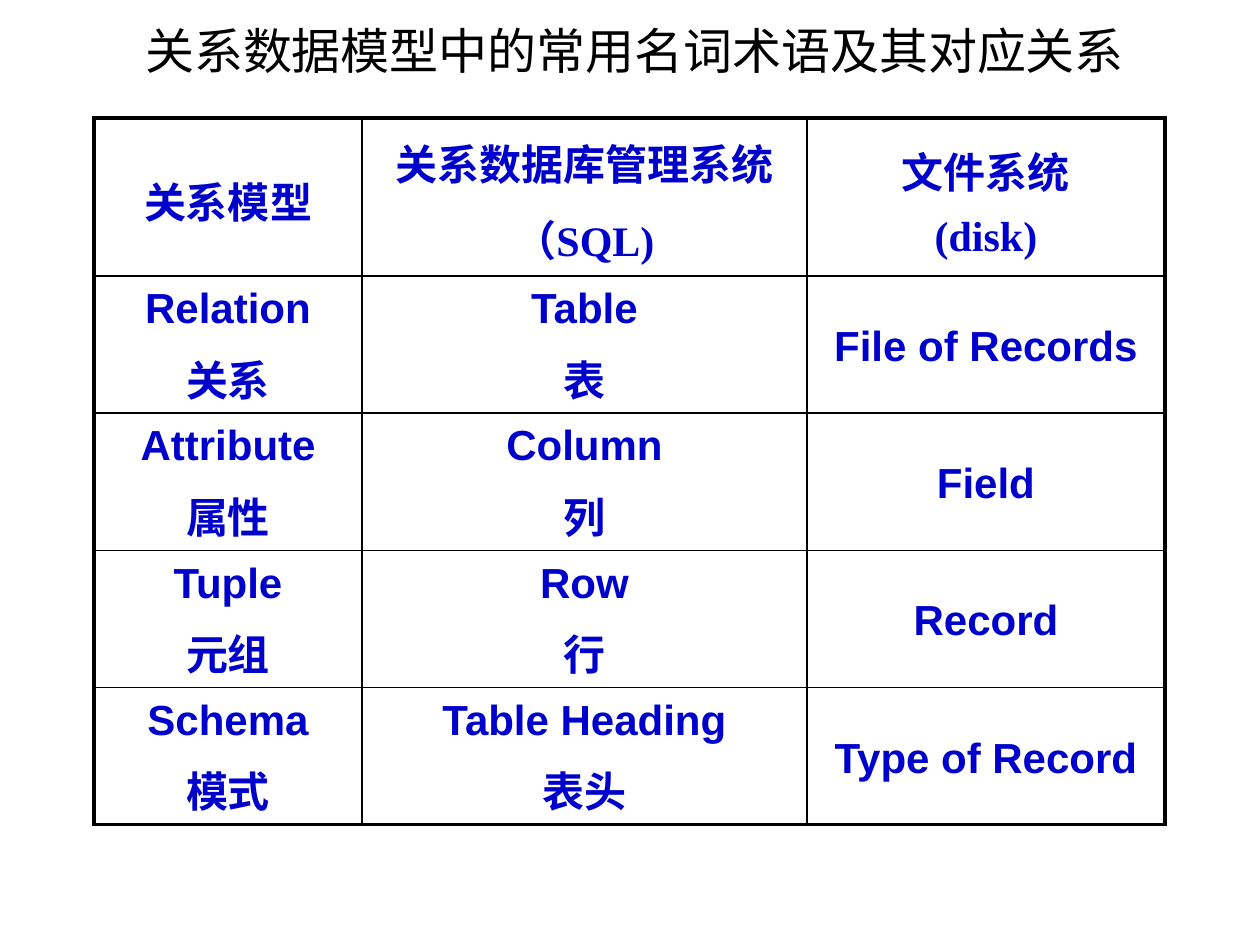
import pptx
import pptx.dml.color
import pptx.enum.text
import pptx.oxml
import pptx.oxml.ns
import pptx.util

SCALE = 914400 / 126  # EMU in one px
MID = pptx.enum.text.MSO_ANCHOR.MIDDLE
CENTER = pptx.enum.text.PP_ALIGN.CENTER


def px(n):
    return pptx.util.Emu(round(n * SCALE))


def color(text):
    return pptx.dml.color.RGBColor.from_string(text)


def apply(item, style):
    for name, value in style.items():
        setattr(item, name, value)


class Deck:
    ink, blue, white = "000000", "0000CC", "FFFFFF"
    thin, thick = 1, 2.25
    head = {"size": pptx.util.Pt(28), "name": "Times New Roman", "bold": False}
    text = {"size": pptx.util.Pt(24), "bold": True}
    para = {"alignment": CENTER, "line_spacing": 1.1}
    pad = {"margin_left": 0, "margin_right": 0, "margin_top": px(5),
           "margin_bottom": px(5), "vertical_anchor": MID}

    def __init__(self, wide, high):
        self.show = pptx.Presentation()
        apply(self.show, {"slide_width": px(wide), "slide_height": px(high)})
        self.slide = self.show.slides.add_slide(self.show.slide_layouts[5])

    def title(self, text, left, top, wide, high):
        box = self.slide.shapes.title
        apply(box, {"left": px(left), "top": px(top),
                    "width": px(wide), "height": px(high)})
        apply(box.text_frame, {"text": text, "word_wrap": True,
                               "vertical_anchor": MID,
                               "auto_size": pptx.enum.text.MSO_AUTO_SIZE.NONE})
        line = box.text_frame.paragraphs[0]
        line.alignment = CENTER
        apply(line.font, self.head)
        line.font.color.rgb = color(self.ink)

    def border(self, cell, side, points):
        space = pptx.oxml.ns.nsdecls("a")
        cell._tc.get_or_add_tcPr().append(pptx.oxml.parse_xml(
            f'<a:ln{side} {space} w="{pptx.util.Pt(points)}"><a:solidFill>'
            f'<a:srgbClr val="{self.ink}"/></a:solidFill></a:ln{side}>'))

    def cell(self, cell, text, font, edges):
        apply(cell, self.pad)
        cell.text = text
        for i, line in enumerate(cell.text_frame.paragraphs):
            apply(line, self.para)
            if i:
                line.space_before = pptx.util.Pt(5)
            apply(line.font, {**self.text, "name": font})
            line.font.color.rgb = color(self.blue)
        # Thick lines on the outside of the table, thin ones within
        for side, outer in edges.items():
            self.border(cell, side, self.thick if outer else self.thin)
        cell.fill.solid()
        cell.fill.fore_color.rgb = color(self.white)

    def table(self, rows, left, top, wides, highs):
        grid = self.slide.shapes.add_table(
            len(rows), len(wides), px(left), px(top),
            px(sum(wides)), px(sum(highs))).table
        apply(grid, {"first_row": False, "horz_banding": False})
        for col, wide in zip(grid.columns, wides):
            col.width = px(wide)
        for row, high in zip(grid.rows, highs):
            row.height = px(high)
        for r, row in enumerate(rows):
            font = "Arial" if r else "Times New Roman"
            for c, text in enumerate(row):
                edges = {"L": c == 0, "R": c == len(wides) - 1,
                         "T": r == 0, "B": r == len(rows) - 1}
                self.cell(grid.cell(r, c), text, font, edges)


TERMS = [
    ["关系模型", "关系数据库管理系统\n（SQL)", "文件系统\n(disk)"],
    ["Relation\n关系", "Table\n表", "File of Records"],
    ["Attribute\n属性", "Column\n列", "Field"],
    ["Tuple\n元组", "Row\n行", "Record"],
    ["Schema\n模式", "Table Heading\n表头", "Type of Record"],
]


def main():
    deck = Deck(1260, 945)
    # Heading
    deck.title("关系数据模型中的常用名词术语及其对应关系", 94, 14, 1081, 72)
    # Terms side by side
    deck.table(TERMS, 94, 118, [268, 445, 358], [158] + [137] * 4)
    deck.show.save("out.pptx")


if __name__ == "__main__":
    main()
